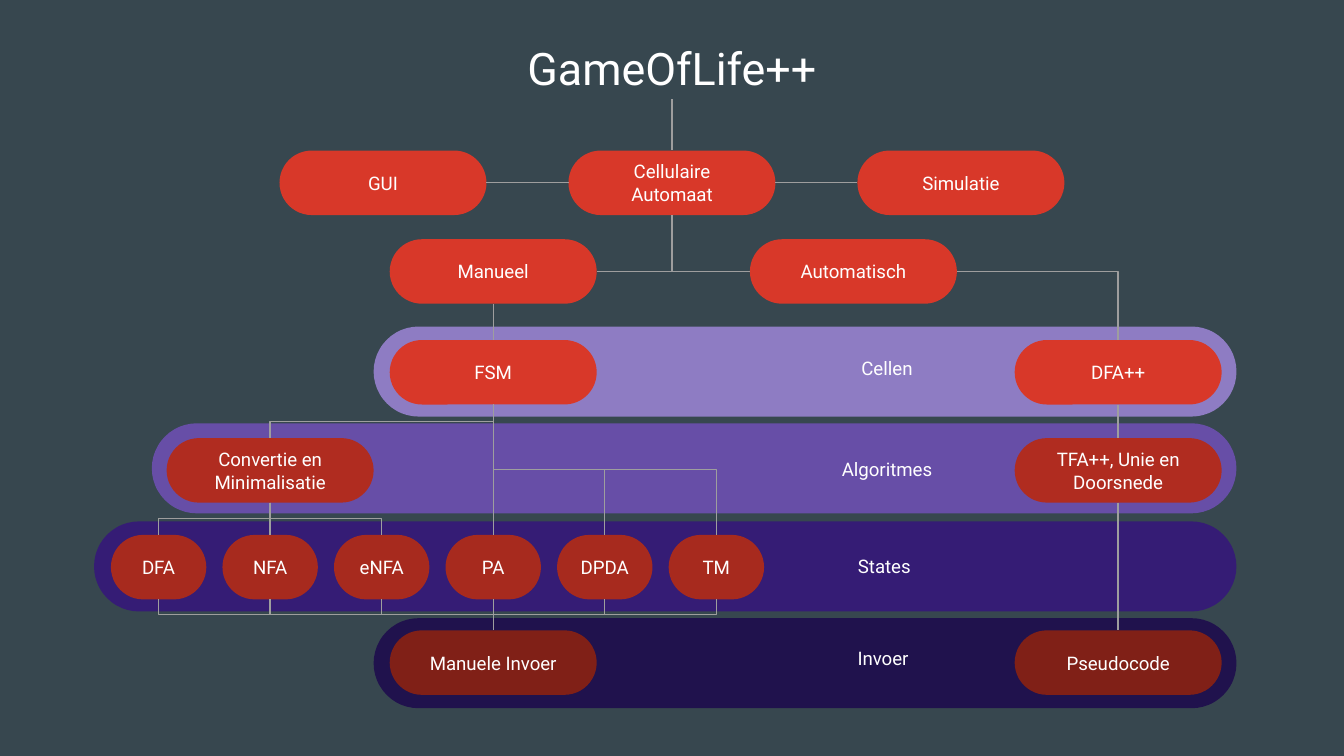
from dataclasses import dataclass

from lxml.etree import SubElement
from pptx import Presentation
from pptx.dml.color import RGBColor
from pptx.enum.shapes import MSO_CONNECTOR as LINK, MSO_SHAPE
from pptx.enum.text import MSO_ANCHOR, MSO_AUTO_SIZE, PP_ALIGN
from pptx.oxml.ns import qn
from pptx.util import Inches, Pt

TOP, LEFT, BOTTOM, RIGHT = range(4)
SLIDE_W = 10
SLIDE_H = SLIDE_W * 9 / 16
NODE_W, STATE_W, NODE_H = 1.54, 0.71, 0.48
BAND_RIGHT, BAND_H = 9.2, 0.67
STATE_X, STATE_STEP = 1.18, 0.83
MANUAL_X, AUTO_X, CENTRE_X = STATE_X + 3 * STATE_STEP, 8.32, SLIDE_W / 2
CONVERT_X = STATE_X + STATE_STEP


@dataclass(frozen=True)
class Theme:
    """Colours, font and type sizes of the slide."""
    background: str = "37474F"
    text: str = "FFFFFF"
    line: str = "9E9E9E"
    red: str = "D83829"
    algorithm: str = "B02C20"
    state: str = "A72A1E"
    entry: str = "802017"
    font: str = "Roboto"
    title_size: int = 24
    size: int = 10
    line_width: float = 0.75


THEME = Theme()
BANDS = [
    ("Cellen", 2.78, 2.43, "8E7CC3", 6.6, 2.74),
    ("Algoritmes", 1.13, 3.15, "674EA7", 6.6, 3.49),
    ("States", 0.7, 3.88, "351C75", 6.58, 4.21),
    ("Invoer", 2.78, 4.6, "20124D", 6.57, 4.9),
]
NODES = [
    ("GUI", 2.85, 1.36, THEME.red),
    ("Cellulaire Automaat", CENTRE_X, 1.36, THEME.red),
    ("Simulatie", 7.15, 1.36, THEME.red),
    ("Manueel", MANUAL_X, 2.02, THEME.red),
    ("Automatisch", 6.35, 2.02, THEME.red),
    ("FSM", MANUAL_X, 2.77, THEME.red),
    ("DFA++", AUTO_X, 2.77, THEME.red),
    ("Convertie en Minimalisatie", CONVERT_X, 3.5, THEME.algorithm),
    ("TFA++, Unie en Doorsnede", AUTO_X, 3.5, THEME.algorithm),
    ("Manuele Invoer", MANUAL_X, 4.93, THEME.entry),
    ("Pseudocode", AUTO_X, 4.93, THEME.entry),
]
STATES = ["DFA", "NFA", "eNFA", "PA", "DPDA", "TM"]
CHAIN = ["DFA++", "TFA++, Unie en Doorsnede", "Pseudocode"]


def write(sp, text, size=THEME.size, color=THEME.text):
    """Put centred text into a shape."""
    tf = sp.text_frame
    tf.word_wrap = True
    tf.auto_size = MSO_AUTO_SIZE.NONE
    tf.vertical_anchor = MSO_ANCHOR.MIDDLE
    tf.margin_left = tf.margin_right = tf.margin_top = tf.margin_bottom = Inches(0.1)
    p = tf.paragraphs[0]
    p.alignment = PP_ALIGN.CENTER
    r = p.add_run()
    r.text = text
    r.font.name, r.font.size = THEME.font, Pt(size)
    r.font.color.rgb = RGBColor.from_string(color)


def add_pill(s, left, top, width, height, fill):
    """Draw a fully rounded bar."""
    sp = s.shapes.add_shape(MSO_SHAPE.ROUNDED_RECTANGLE, Inches(left), Inches(top),
                            Inches(width), Inches(height))
    sp.adjustments[0] = 0.5
    sp.shadow.inherit = False
    sp.fill.solid()
    sp.fill.fore_color.rgb = RGBColor.from_string(fill)
    sp.line.fill.background()
    return sp


def add_node(s, text, x, y, fill, width=NODE_W):
    """Draw a labelled pill centred on a point."""
    sp = add_pill(s, x - width / 2, y - NODE_H / 2, width, NODE_H, fill)
    write(sp, text)
    return sp


def add_label(s, text, x, y):
    """Write a band name centred on a point."""
    write(s.shapes.add_textbox(Inches(x - NODE_W / 2), Inches(y - NODE_H / 2),
                               Inches(NODE_W), Inches(NODE_H)), text)


def add_title(s, text):
    """Move and fill the title placeholder."""
    sp = s.shapes.title
    sp.left, sp.top, sp.width, sp.height = map(Inches, (3.58, 0.26, 2.84, 0.48))
    write(sp, text, size=THEME.title_size)
    return sp


def link(s, start, end, begin_site=BOTTOM, end_site=TOP, kind=LINK.STRAIGHT):
    """Join two shapes with a connector."""
    c = s.shapes.add_connector(kind, 0, 0, 0, 0)
    c.begin_connect(start, begin_site)
    c.end_connect(end, end_site)
    c.line.color.rgb = RGBColor.from_string(THEME.line)
    c.line.width = Pt(THEME.line_width)
    SubElement(c._element.spPr, qn("a:effectLst"))
    return c


def link_bent(s, start, end, begin_site=BOTTOM, end_site=TOP):
    """Join two shapes with an elbow, turned when it leaves downwards."""
    c = link(s, start, end, begin_site, end_site, LINK.ELBOW)
    if end_site != TOP or begin_site != BOTTOM:
        c._element.spPr.find(qn("a:prstGeom")).set("prst", "bentConnector2")
    if begin_site == BOTTOM:
        to_right = c.end_x > c.begin_x
        mid_x, mid_y = (c.begin_x + c.end_x) // 2, (c.begin_y + c.end_y) // 2
        width, height = abs(c.end_y - c.begin_y), abs(c.end_x - c.begin_x)
        c.left, c.top = mid_x - width // 2, mid_y - height // 2
        c.width, c.height = width, height
        xfrm = c._element.spPr.find(qn("a:xfrm"))
        xfrm.set("rot", str((270 if to_right else 90) * 60000))
        xfrm.set("flipH", str(int(to_right)))


def link_down(s, start, end):
    """Join bottom to top, straight when the shapes share a centre line."""
    offset = (start.left + start.width / 2) - (end.left + end.width / 2)
    join = link if abs(offset) < Inches(0.01) else link_bent
    join(s, start, end)


def main():
    """Build the slide and save it."""
    prs = Presentation()
    prs.slide_width, prs.slide_height = Inches(SLIDE_W), Inches(SLIDE_H)
    s = prs.slides.add_slide(prs.slide_layouts[5])
    s.background.fill.solid()
    s.background.fill.fore_color.rgb = RGBColor.from_string(THEME.background)

    for _, left, top, fill, _, _ in BANDS:
        add_pill(s, left, top, BAND_RIGHT - left, BAND_H, fill)
    title = add_title(s, "GameOfLife++")
    nodes = {text: add_node(s, text, x, y, fill) for text, x, y, fill in NODES}
    states = [add_node(s, text, STATE_X + i * STATE_STEP, 4.22, THEME.state, STATE_W)
              for i, text in enumerate(STATES)]
    for text, _, _, _, x, y in BANDS:
        add_label(s, text, x, y)

    automaton, fsm = nodes["Cellulaire Automaat"], nodes["FSM"]
    manual, automatic = nodes["Manueel"], nodes["Automatisch"]
    convert = nodes["Convertie en Minimalisatie"]
    link(s, nodes["GUI"], automaton, RIGHT, LEFT)
    link(s, automaton, nodes["Simulatie"], RIGHT, LEFT)
    link_bent(s, automaton, manual, BOTTOM, RIGHT)
    link_bent(s, automaton, automatic, BOTTOM, LEFT)
    link_bent(s, automatic, nodes["DFA++"], RIGHT, TOP)
    for start, end in [(title, automaton), (manual, fsm), (fsm, convert)]:
        link_down(s, start, end)
    for start, end in zip(CHAIN, CHAIN[1:]):
        link_down(s, nodes[start], nodes[end])
    for i, state in enumerate(states):
        link_down(s, convert if i < 3 else fsm, state)
        link_down(s, state, nodes["Manuele Invoer"])
    prs.save("out.pptx")


if __name__ == "__main__":
    main()
